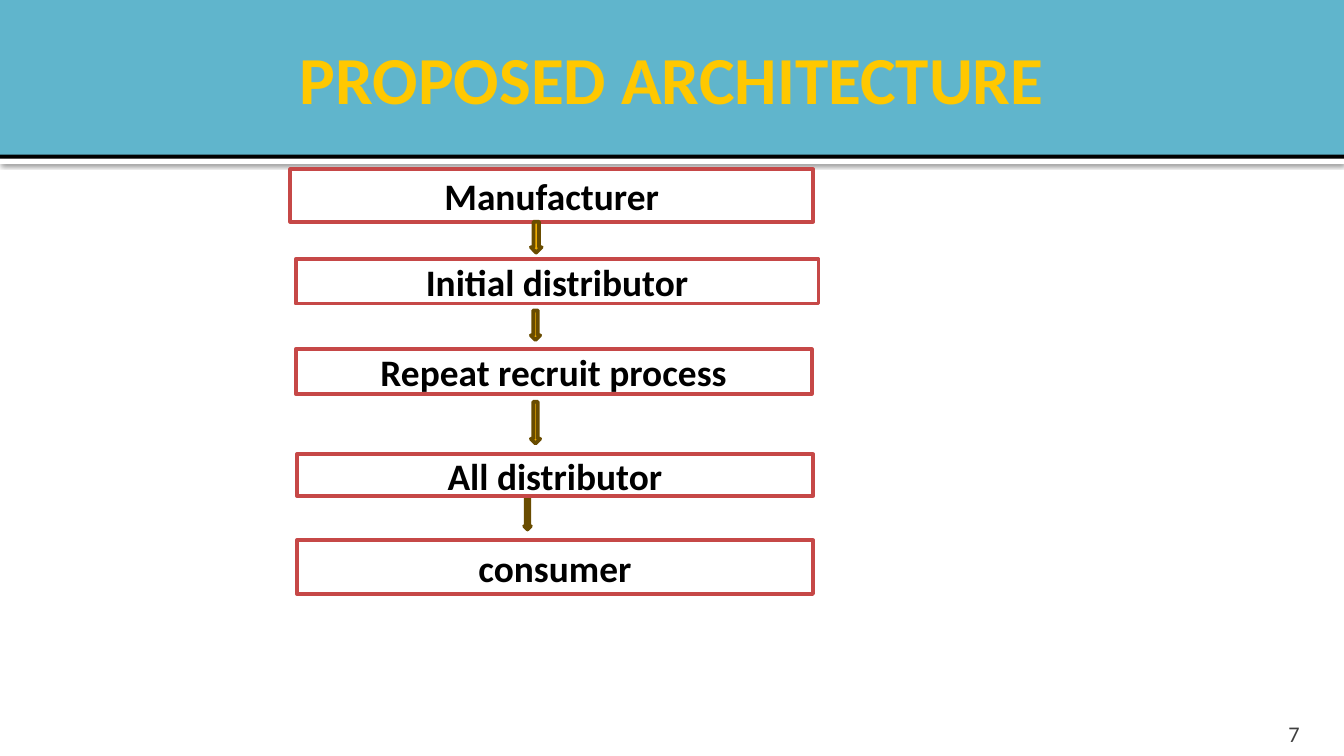
from lxml import etree
from pptx import Presentation
from pptx.dml.color import RGBColor
from pptx.enum import shapes, text
from pptx.oxml.ns import qn
from pptx.util import Inches, Pt

# Content: label, left, top, width, height
STEPS = [
    ("Manufacturer", 2.16, 1.26, 3.89, 0.39),
    ("Initial distributor", 2.2, 1.93, 3.89, 0.33),
    ("Repeat recruit process", 2.2, 2.6, 3.84, 0.33),
    ("All distributor", 2.21, 3.38, 3.84, 0.31),
    ("consumer", 2.21, 4.02, 3.84, 0.4),
]
ARROWS = [
    (3.95, 1.65, 0.08, 0.23),
    (3.95, 2.31, 0.07, 0.22),
    (3.95, 2.99, 0.07, 0.31),
    (3.9, 3.57, 0.05, 0.37),
]
COLORS = {
    "white": "FFFFFF", "black": "000000", "band": "60B5CC", "title": "FFC800",
    "edge": "C64847", "arrow": "F0AD00", "rim": "694C00", "page": "3F3F3F",
}
FONT = "Calibri"
KIND = shapes.MSO_SHAPE
ALIGN = text.PP_ALIGN


def color(name):
    return RGBColor.from_string(COLORS[name])


def paint(shape, fill, line=None):
    shape.fill.solid()
    shape.fill.fore_color.rgb = color(fill)
    if line:
        shape.line.color.rgb = color(line)
        shape.line.width = Pt(2)
    else:
        shape.line.fill.background()


def add(kind, box, fill, line=None):
    shape = slide.shapes.add_shape(kind, *map(Inches, box))
    shape.shadow.inherit = False
    paint(shape, fill, line)
    return shape


def write(shape, words, size, tint, bold=False, align=ALIGN.CENTER,
          anchor=text.MSO_ANCHOR.MIDDLE):
    frame = shape.text_frame
    frame.text = words
    frame.word_wrap = True
    frame.auto_size = text.MSO_AUTO_SIZE.NONE
    frame.vertical_anchor = anchor
    par = frame.paragraphs[0]
    par.alignment = align
    par.font.name = FONT
    par.font.size = Pt(size)
    par.font.bold = bold
    par.font.color.rgb = color(tint)


def add_step(label, *box):
    write(add(KIND.RECTANGLE, box, "white", "edge"), label, 20, "black", True)


def cast(shape):
    """Soft shadow straight below the shape."""
    effects = shape.element.spPr.find(qn("a:effectLst"))
    outer = etree.SubElement(effects, qn("a:outerShdw"), blurRad=str(Pt(2.5)),
                             dist=str(Pt(0.8)), dir="5400000", rotWithShape="0")
    tint = etree.SubElement(outer, qn("a:srgbClr"), val=COLORS["black"])
    etree.SubElement(tint, qn("a:alpha"), val="59000")


# Slide in 16:9
deck = Presentation()
deck.slide_width, deck.slide_height = Inches(10), Inches(10 * 9 / 16)
slide = deck.slides.add_slide(deck.slide_layouts[5])

# Header: white strip and black rule below the title band
cast(add(KIND.RECTANGLE, (0, 1.18, 10, 0.04), "white"))
add(KIND.RECTANGLE, (0, 0, 10, 1.18), "black")
title = slide.shapes.title
title.left, title.top, title.width, title.height = map(Inches, (0, 0, 10, 1.15))
paint(title, "band")
write(title, "PROPOSED ARCHITECTURE", 36, "title", True)
slide.shapes.element.append(title.element)  # in front of the rule

# Page number
page = slide.shapes.add_textbox(*map(Inches, (8.97, 5.31, 0.8, 0.23)))
page.rotation = 359.8
write(page, "7", 12, "page", align=ALIGN.RIGHT, anchor=text.MSO_ANCHOR.TOP)

# Flow: arrows lie over the first step and under the others
add_step(*STEPS[0])
for box in ARROWS:
    add(KIND.DOWN_ARROW, box, "arrow", "rim")
for step in STEPS[1:]:
    add_step(*step)

deck.save("out.pptx")
